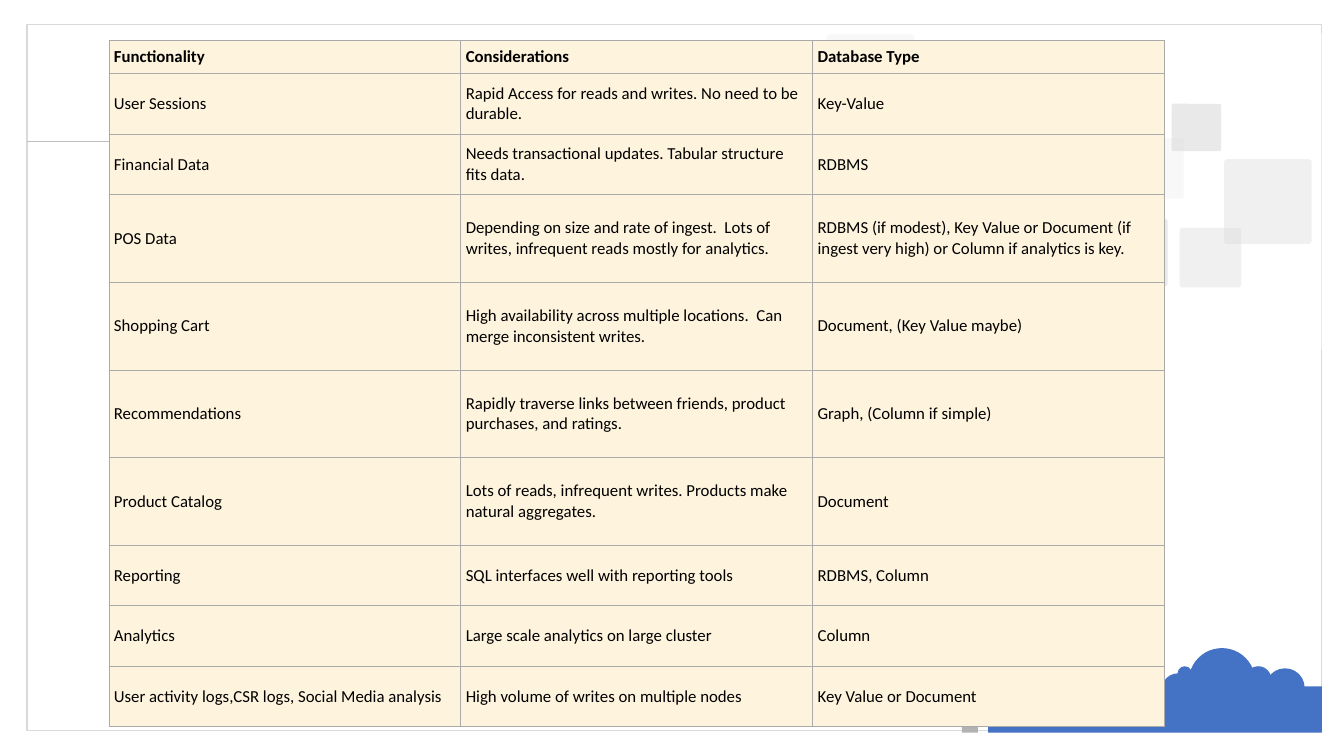
import pptx
import pptx.chart.data
import pptx.dml.color
import pptx.enum.shapes
import pptx.enum.text
import pptx.oxml
import pptx.oxml.ns
import pptx.util
from typing import NamedTuple, Optional

Inches = pptx.util.Inches
Pt = pptx.util.Pt
RGBColor = pptx.dml.color.RGBColor
Kind = pptx.enum.shapes.MSO_SHAPE

WHITE = RGBColor(0xFF, 0xFF, 0xFF)
BLACK = RGBColor(0x00, 0x00, 0x00)
BLUE = RGBColor(0x44, 0x72, 0xC4)
GRAY = RGBColor(0xB2, 0xB2, 0xB2)
FRAME = RGBColor(0xD9, 0xD9, 0xD9)
RULE = RGBColor(0xBF, 0xBF, 0xBF)
CREAM = RGBColor(0xFE, 0xF3, 0xDD)
BORDER = RGBColor(0xAA, 0xAA, 0xAA)


class Block(NamedTuple):
    kind: int
    left: float
    top: float
    width: float
    height: float
    fill: Optional[RGBColor]
    alpha: int = 100
    line: Optional[RGBColor] = None


class Entry(NamedTuple):
    use: str
    notes: str
    store: str
    height: float


def tile(left: float, top: float, width: float, height: float,
         fill: RGBColor, alpha: int) -> Block:
    return Block(Kind.ROUNDED_RECTANGLE, left, top, width, height, fill, alpha)


def puff(left: float, top: float, size: float) -> Block:
    """One round part of the cloud."""
    return Block(Kind.OVAL, left, top, size, size, BLUE)


BARS = [
    Block(Kind.RECTANGLE, 0.27, 0.24, 12.84, 7.01, None, line=FRAME),
    Block(Kind.RECTANGLE, 9.8, 6.81, 3.31, 0.46, BLUE),
    Block(Kind.RECTANGLE, 9.54, 6.81, 0.16, 0.46, GRAY),
]
TILES = [
    tile(8.2, 0.34, 0.87, 0.84, GRAY, 16),
    tile(11.62, 1.03, 0.49, 0.47, BLACK, 16),
    tile(11.12, 1.37, 0.62, 0.6, GRAY, 16),
    tile(10.89, 2.17, 0.69, 0.67, BLACK, 16),
    tile(12.14, 1.58, 0.87, 0.84, GRAY, 36),
    tile(11.7, 2.26, 0.61, 0.59, GRAY, 36),
]
VEIL = Block(Kind.RECTANGLE, 7.12, 0.33, 5.99, 3.14, WHITE, 48)
CLOUD = [
    puff(11.79, 6.43, 0.66),
    puff(11.52, 6.68, 0.33),
    puff(12.35, 6.61, 0.26),
    puff(12.55, 6.63, 0.39),
    puff(11.68, 6.61, 0.14),
]
ENTRIES = [
    Entry("Functionality", "Considerations", "Database Type", 0.33),
    Entry("User Sessions",
          "Rapid Access for reads and writes. No need to be durable.",
          "Key-Value", 0.6),
    Entry("Financial Data",
          "Needs transactional updates. Tabular structure fits data.",
          "RDBMS", 0.6),
    Entry("POS Data",
          "Depending on size and rate of ingest.  Lots of writes, "
          "infrequent reads mostly for analytics.",
          "RDBMS (if modest), Key Value or Document (if ingest very high) "
          "or Column if analytics is key.", 0.87),
    Entry("Shopping Cart",
          "High availability across multiple locations.  Can merge "
          "inconsistent writes.",
          "Document, (Key Value maybe)", 0.87),
    Entry("Recommendations",
          "Rapidly traverse links between friends, product purchases, "
          "and ratings.",
          "Graph, (Column if simple)", 0.87),
    Entry("Product Catalog",
          "Lots of reads, infrequent writes. Products make natural "
          "aggregates.",
          "Document", 0.87),
    Entry("Reporting", "SQL interfaces well with reporting tools",
          "RDBMS, Column", 0.6),
    Entry("Analytics", "Large scale analytics on large cluster",
          "Column", 0.6),
    Entry("User activity logs,CSR logs, Social Media analysis",
          "High volume of writes on multiple nodes",
          "Key Value or Document", 0.6),
]


def draw_block(slide, block: Block) -> None:
    shape = slide.shapes.add_shape(
        block.kind, Inches(block.left), Inches(block.top),
        Inches(block.width), Inches(block.height))
    shape.shadow.inherit = False
    if block.kind == Kind.ROUNDED_RECTANGLE:
        shape.adjustments[0] = 0.04
    if block.fill is None:
        shape.fill.background()
    else:
        shape.fill.solid()
        shape.fill.fore_color.rgb = block.fill
    if block.alpha < 100:
        color = shape.fill._xPr.find(".//" + pptx.oxml.ns.qn("a:srgbClr"))
        alpha = color.makeelement(pptx.oxml.ns.qn("a:alpha"),
                                  {"val": str(block.alpha * 1000)})
        color.append(alpha)
    if block.line is None:
        shape.line.fill.background()
    else:
        shape.line.color.rgb = block.line
        shape.line.width = Pt(1)


def draw_rule(slide) -> None:
    rule = slide.shapes.add_connector(
        pptx.enum.shapes.MSO_CONNECTOR.STRAIGHT,
        Inches(0.27), Inches(1.4), Inches(5.78), Inches(1.4))
    rule.line.color.rgb = RULE
    rule.line.width = Pt(0.5)
    props = rule._element.spPr
    props.append(props.makeelement(pptx.oxml.ns.qn("a:effectLst"), {}))


def add_edges(cell) -> None:
    """Put a thin border on all four sides of a cell."""
    props = cell._tc.get_or_add_tcPr()
    space = pptx.oxml.ns.nsdecls("a")
    for place, side in enumerate(("lnL", "lnR", "lnT", "lnB")):
        edge = pptx.oxml.parse_xml(
            f'<a:{side} {space} w="{Pt(0.5)}"><a:solidFill>'
            f'<a:srgbClr val="{BORDER}"/></a:solidFill></a:{side}>')
        props.insert(place, edge)


def fill_cell(cell, text: str, bold: bool) -> None:
    cell.margin_left = cell.margin_right = Inches(0.05)
    cell.margin_top = cell.margin_bottom = Inches(0.02)
    cell.vertical_anchor = pptx.enum.text.MSO_ANCHOR.MIDDLE
    cell.fill.solid()
    cell.fill.fore_color.rgb = CREAM
    add_edges(cell)
    run = cell.text_frame.paragraphs[0].add_run()
    run.text = text
    run.font.name = "Calibri"
    run.font.size = Pt(12)
    run.font.bold = bold
    run.font.color.rgb = BLACK


def draw_table(slide) -> None:
    total = sum(entry.height for entry in ENTRIES)
    table = slide.shapes.add_table(
        len(ENTRIES), 3, Inches(1.08), Inches(0.4),
        Inches(10.47), Inches(total)).table
    table.horz_banding = False
    for column in table.columns:
        column.width = Inches(3.49)
    for row, entry in enumerate(ENTRIES):
        table.rows[row].height = Inches(entry.height)
        for col, text in enumerate((entry.use, entry.notes, entry.store)):
            fill_cell(table.cell(row, col), text, bold=row == 0)


def main() -> None:
    deck = pptx.Presentation()
    deck.slide_width = Inches(13.33)
    deck.slide_height = Inches(7.5)
    slide = deck.slides.add_slide(deck.slide_layouts[6])
    for block in BARS:
        draw_block(slide, block)
    draw_rule(slide)
    for block in [*TILES, VEIL, *CLOUD]:
        draw_block(slide, block)
    draw_table(slide)
    deck.save("out.pptx")


if __name__ == "__main__":
    main()
